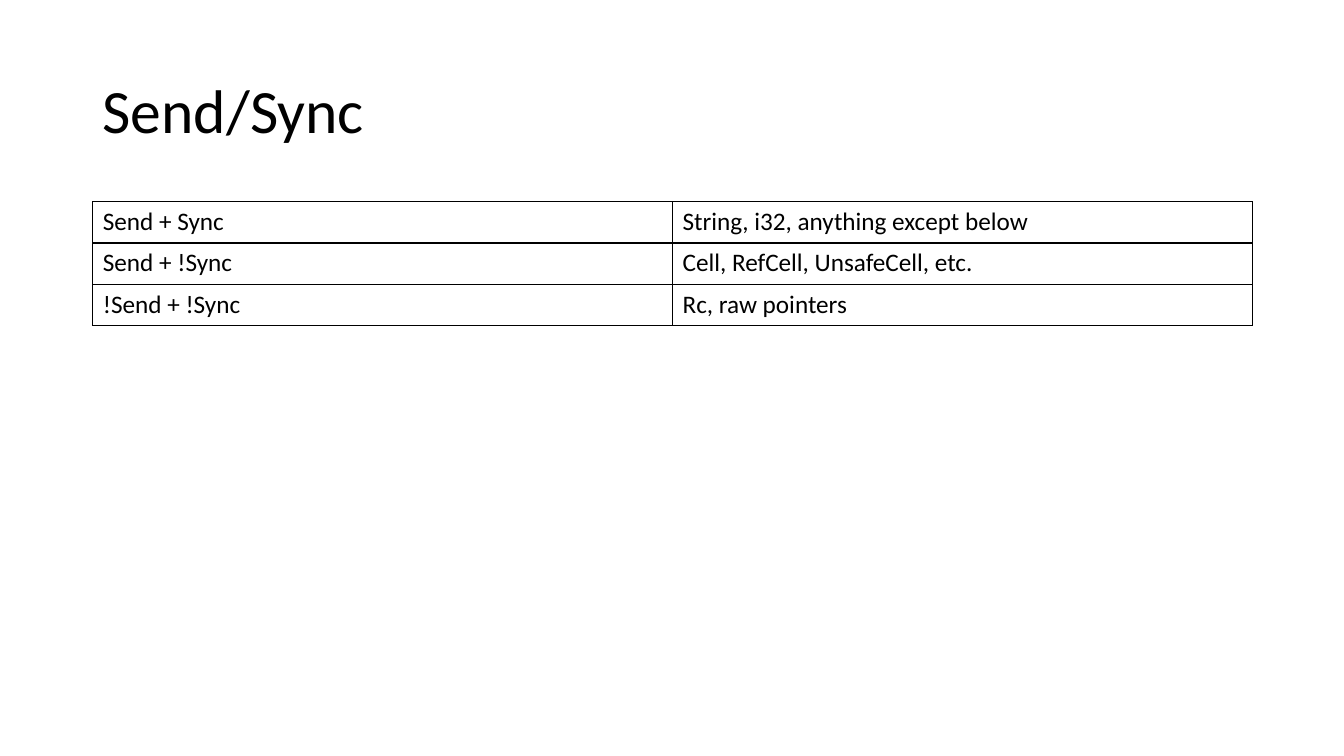
import pptx
import pptx.dml.color
import pptx.enum.text
import pptx.oxml
import pptx.oxml.ns
import pptx.util
from pptx.util import Inches

COLORS = {"ink": "000000", "paper": "FFFFFF"}


class SlideBuilder:
    """Holds the style and the current slide."""

    font = "Calibri"

    def __init__(self, slide):
        self.slide = slide
        slide.background.fill.solid()
        slide.background.fill.fore_color.rgb = self.color("paper")

    def color(self, key):
        return pptx.dml.color.RGBColor.from_string(COLORS[key])

    def style_text(self, frame, size):
        for paragraph in frame.paragraphs:
            for run in paragraph.runs:
                run.font.name = self.font
                run.font.size = pptx.util.Pt(size)
                run.font.color.rgb = self.color("ink")

    def title(self, text, left, top, width, height, size=44):
        frame = self.slide.shapes.add_textbox(left, top, width, height).text_frame
        frame.word_wrap = True
        frame.vertical_anchor = pptx.enum.text.MSO_ANCHOR.MIDDLE
        frame.text = text
        frame.paragraphs[0].line_spacing = 0.9
        self.style_text(frame, size)

    def border(self, cell, points=1):
        properties = cell._tc.get_or_add_tcPr()
        # Borders must precede the fill in the cell properties
        for index, side in enumerate(("lnL", "lnR", "lnT", "lnB")):
            line = pptx.oxml.parse_xml(
                f'<a:{side} {pptx.oxml.ns.nsdecls("a")} w="{pptx.util.Pt(points)}">'
                f'<a:solidFill><a:srgbClr val="{COLORS["ink"]}"/></a:solidFill>'
                f'</a:{side}>')
            properties.insert(index, line)

    def table(self, rows, left, top, width, row_height, size=18):
        grid = self.slide.shapes.add_table(
            len(rows), len(rows[0]), left, top, width, row_height * len(rows)).table
        grid.first_row = False
        grid.horz_banding = False
        for row_index, texts in enumerate(rows):
            grid.rows[row_index].height = row_height
            for column_index, text in enumerate(texts):
                cell = grid.cell(row_index, column_index)
                cell.text_frame.text = text
                self.style_text(cell.text_frame, size)
                cell.fill.background()
                self.border(cell)


deck = pptx.Presentation()
deck.slide_width = Inches(13.33)
deck.slide_height = Inches(7.5)
builder = SlideBuilder(deck.slides.add_slide(deck.slide_layouts[6]))

# Title
margin, content_width = Inches(0.92), Inches(11.5)
builder.title("Send/Sync", margin, Inches(0.4), content_width, Inches(1.45))

# Trait combinations and the types that have them
trait_examples = [
    ("Send + Sync", "String, i32, anything except below"),
    ("Send + !Sync", "Cell, RefCell, UnsafeCell, etc."),
    ("!Send + !Sync", "Rc, raw pointers"),
]
builder.table(trait_examples, margin, Inches(2), content_width, Inches(0.41))

deck.save("out.pptx")
